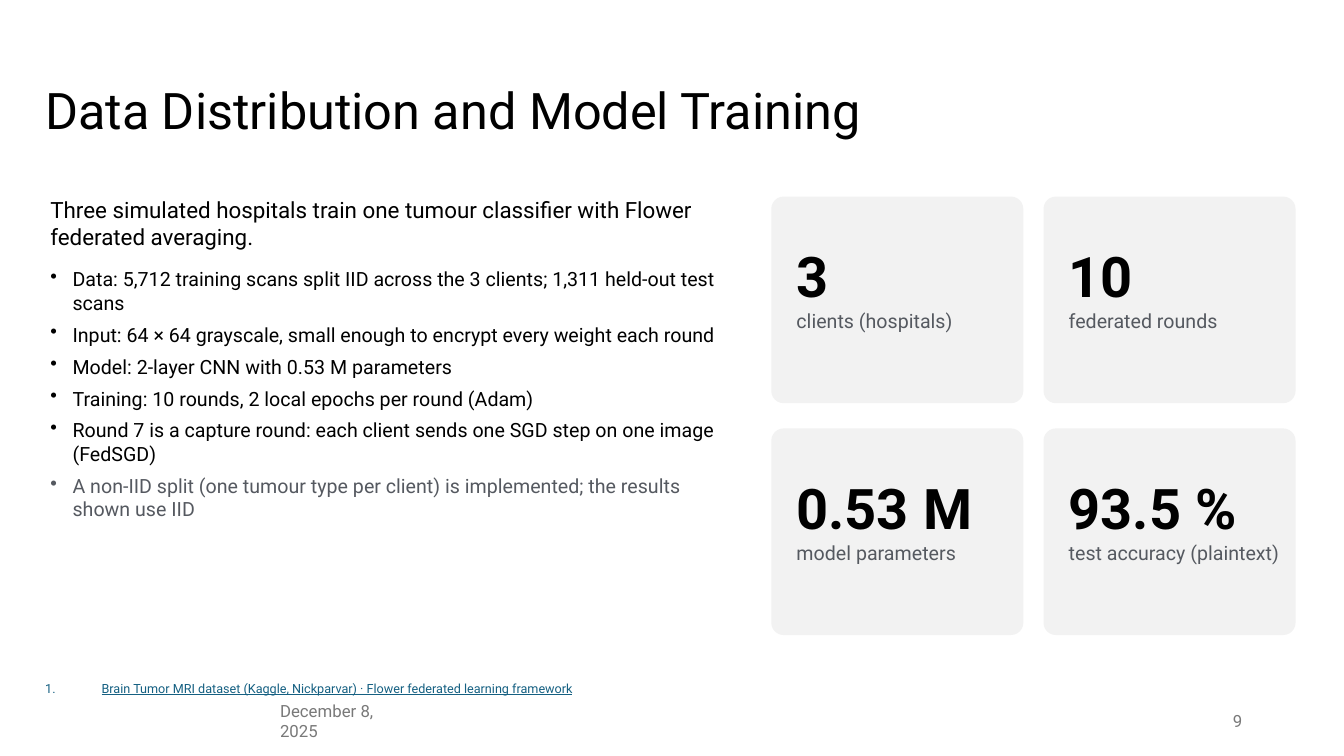
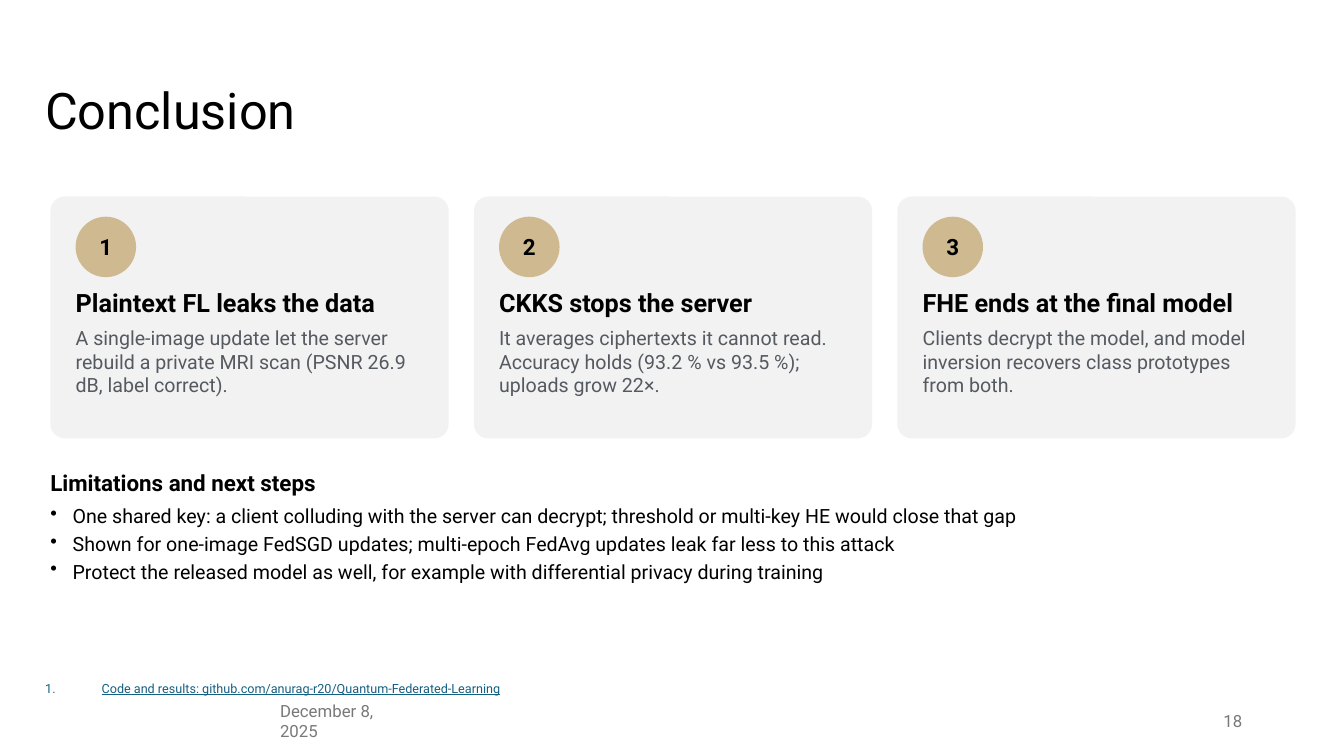
from lxml import etree
from pptx import Presentation
from pptx import util as u
from pptx.dml.color import RGBColor
from pptx.enum import shapes, text
from pptx.oxml.ns import qn

COLORS = {"ink": "000000", "grey": "555960", "footer": "797979",
          "link": "156082", "card": "F2F2F2", "gold": "CFB991"}
FONT = "Roboto"
DATE = "December 8, 2025"
LEFT, TOP, RIGHT = 0.5, 1.95, 12.85
PAD = 0.25

TRAINING = {
    "title": "Data Distribution and Model Training",
    "number": "9",
    "source": "Brain Tumor MRI dataset (Kaggle, Nickparvar) · Flower federated learning framework",
    "lead": "Three simulated hospitals train one tumour classifier with Flower federated averaging.",
    "points": [
        "Data: 5,712 training scans split IID across the 3 clients; 1,311 held-out test scans",
        "Input: 64 × 64 grayscale, small enough to encrypt every weight each round",
        "Model: 2-layer CNN with 0.53 M parameters",
        "Training: 10 rounds, 2 local epochs per round (Adam)",
        "Round 7 is a capture round: each client sends one SGD step on one image (FedSGD)",
    ],
    "aside": "A non-IID split (one tumour type per client) is implemented; the results shown use IID",
    "figures": [
        ("3", "clients (hospitals)"),
        ("10", "federated rounds"),
        ("0.53 M", "model parameters"),
        ("93.5 %", "test accuracy (plaintext)"),
    ],
}

CONCLUSION = {
    "title": "Conclusion",
    "number": "18",
    "source": "Code and results: github.com/anurag-r20/Quantum-Federated-Learning",
    "findings": [
        ("Plaintext FL leaks the data",
         "A single-image update let the server rebuild a private MRI scan (PSNR 26.9 dB, label correct)."),
        ("CKKS stops the server",
         "It averages ciphertexts it cannot read. Accuracy holds (93.2 % vs 93.5 %); uploads grow 22×."),
        ("FHE ends at the final model",
         "Clients decrypt the model, and model inversion recovers class prototypes from both."),
    ],
    "lead": "Limitations and next steps",
    "points": [
        "One shared key: a client colluding with the server can decrypt; threshold or multi-key HE would close that gap",
        "Shown for one-image FedSGD updates; multi-epoch FedAvg updates leak far less to this attack",
        "Protect the released model as well, for example with differential privacy during training",
    ],
}


def color(name):
    return RGBColor.from_string(COLORS[name])


def add_marker(para, tag, indent, **attributes):
    properties = para._p.get_or_add_pPr()
    properties.set("marL", str(u.Inches(indent)))
    properties.set("indent", str(-u.Inches(indent)))
    etree.SubElement(properties, qn(tag), attributes)


def write(frame, words, size=14, ink="ink", bold=False, underline=False,
          align=None, after=0, spacing=None, bullet=False, numbered=False):
    para = frame.paragraphs[0]
    if para.runs:
        para = frame.add_paragraph()
    para.alignment = align
    para.space_after = u.Pt(after)
    if spacing:
        para.line_spacing = spacing
    if bullet:
        add_marker(para, "a:buChar", 0.22, char="•")
    if numbered:
        add_marker(para, "a:buAutoNum", 0.56, type="arabicPeriod")
    span = para.add_run()
    span.text = words
    font = span.font
    font.name, font.size, font.bold, font.underline = FONT, u.Pt(size), bold, underline
    font.color.rgb = color(ink)


def set_frame(frame, anchor, inset):
    frame.word_wrap = True
    frame.vertical_anchor = anchor
    if not inset:
        frame.margin_left = frame.margin_right = frame.margin_top = frame.margin_bottom = 0


def add_box(page, area, anchor=text.MSO_ANCHOR.TOP, inset=False):
    frame = page.shapes.add_textbox(*map(u.Inches, area)).text_frame
    set_frame(frame, anchor, inset)
    return frame


def add_panel(page, kind, area, fill):
    panel = page.shapes.add_shape(kind, *map(u.Inches, area))
    panel.shadow.inherit = False
    panel.fill.solid()
    panel.fill.fore_color.rgb = color(fill)
    panel.line.fill.background()
    return panel


def add_card(page, area):
    card = add_panel(page, shapes.MSO_SHAPE.ROUNDED_RECTANGLE, area, "card")
    card.adjustments[0] = 0.06


def add_page(deck, content):
    page = deck.slides.add_slide(deck.slide_layouts[6])
    middle = text.MSO_ANCHOR.MIDDLE
    write(add_box(page, (0.35, 0.4, 12.07, 1.45), middle, True),
          content["title"], size=36, spacing=0.9)
    write(add_box(page, (2.68, 6.95, 1.43, 0.4), middle, True),
          DATE, size=12, ink="footer")
    write(add_box(page, (11.63, 6.95, 0.79, 0.4), middle, True),
          content["number"], size=12, ink="footer", align=text.PP_ALIGN.RIGHT)
    write(add_box(page, (0.35, 6.66, 12.66, 0.29), text.MSO_ANCHOR.BOTTOM, True),
          content["source"], size=9, ink="link", underline=True, numbered=True)
    return page


def build_training(deck):
    page = add_page(deck, TRAINING)
    body = add_box(page, (LEFT, TOP, 6.7, 4.5))
    write(body, TRAINING["lead"], size=16, after=12)
    for point in TRAINING["points"]:
        write(body, point, after=6, bullet=True)
    write(body, TRAINING["aside"], ink="grey", bullet=True)

    width, height, gap_x, gap_y = 2.5, 2.05, 0.2, 0.25
    start = RIGHT - 2 * width - gap_x
    for index, (figure, label) in enumerate(TRAINING["figures"]):
        row, column = divmod(index, 2)
        x = start + column * (width + gap_x)
        y = TOP + row * (height + gap_y)
        add_card(page, (x, y, width, height))
        box = add_box(page, (x + PAD, y + 0.45, 2.1, 1.15))
        write(box, figure, size=40, bold=True)
        write(box, label, ink="grey")


def build_conclusion(deck):
    page = add_page(deck, CONCLUSION)
    findings = CONCLUSION["findings"]
    gap, height, badge_size = 0.25, 2.4, 0.6
    width = (RIGHT - LEFT - gap * (len(findings) - 1)) / len(findings)
    for index, (heading, detail) in enumerate(findings):
        x = LEFT + index * (width + gap)
        add_card(page, (x, TOP, width, height))
        badge = add_panel(page, shapes.MSO_SHAPE.OVAL,
                          (x + PAD, TOP + 0.2, badge_size, badge_size), "gold")
        set_frame(badge.text_frame, text.MSO_ANCHOR.MIDDLE, False)
        write(badge.text_frame, str(index + 1), size=16, bold=True,
              align=text.PP_ALIGN.CENTER)
        box = add_box(page, (x + PAD, TOP + 0.9, width - 2 * PAD, 1.45))
        write(box, heading, size=18, bold=True, after=6)
        write(box, detail, ink="grey")

    body = add_box(page, (LEFT, 4.65, RIGHT - LEFT, 1.75))
    write(body, CONCLUSION["lead"], size=16, bold=True, after=6)
    for point in CONCLUSION["points"]:
        write(body, point, after=3, bullet=True)


def main():
    deck = Presentation()
    deck.slide_width, deck.slide_height = u.Inches(13.33), u.Inches(7.5)
    build_training(deck)
    build_conclusion(deck)
    deck.save("out.pptx")


if __name__ == "__main__":
    main()
